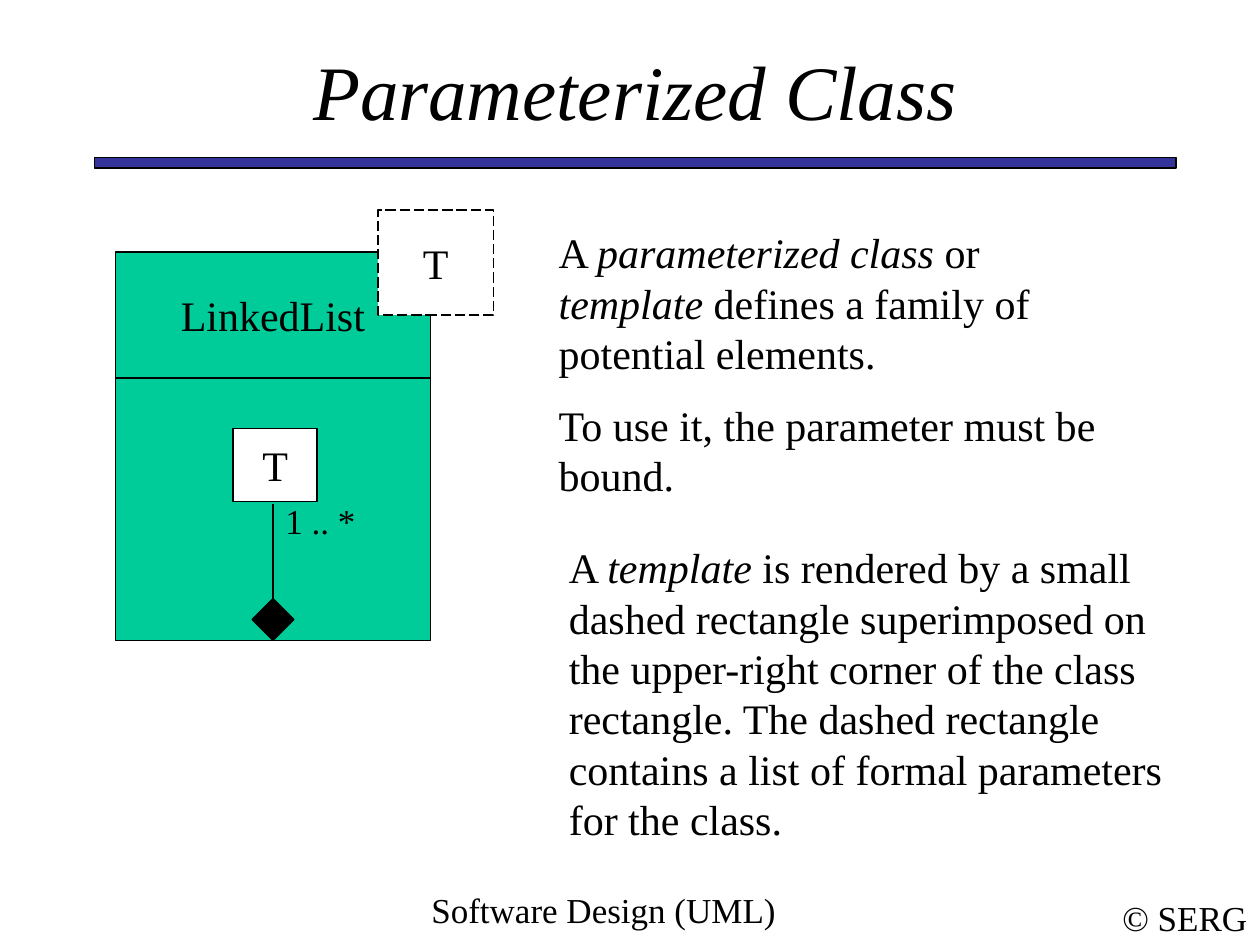
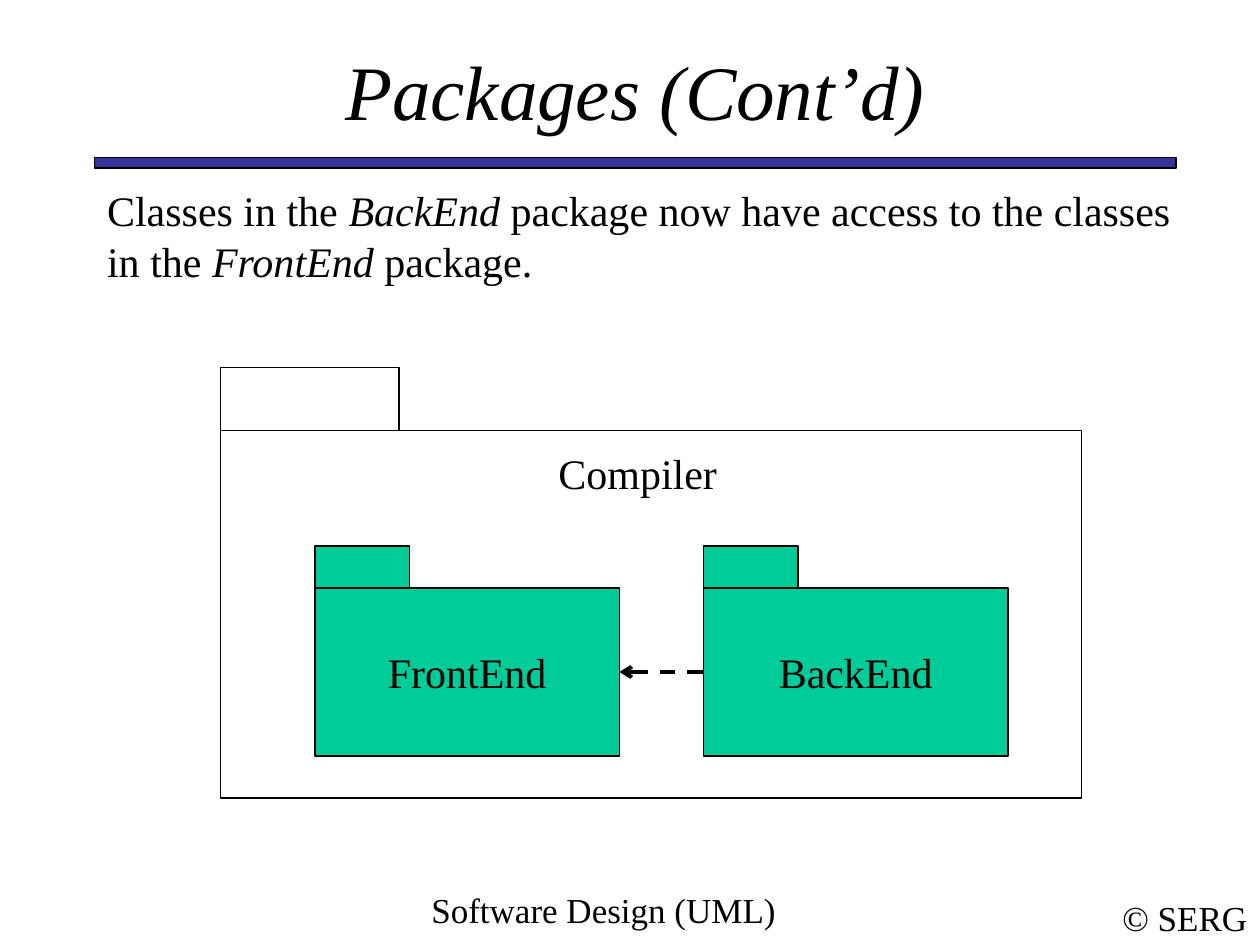
"""Build two UML lecture slides on a grid of twelfths of an inch."""
from lxml.etree import SubElement
from pptx import Presentation
from pptx.dml.color import RGBColor
from pptx.enum.dml import MSO_LINE
from pptx.enum.shapes import MSO_CONNECTOR, MSO_SHAPE
from pptx.enum.text import MSO_ANCHOR, MSO_AUTO_SIZE, PP_ALIGN
from pptx.oxml.ns import qn
from pptx.util import Inches, Pt

BLACK = RGBColor(0x00, 0x00, 0x00)
WHITE = RGBColor(0xFF, 0xFF, 0xFF)
GREEN = RGBColor(0x00, 0xCC, 0x99)
NAVY = RGBColor(0x33, 0x33, 0x99)

FONT = "Times New Roman"
TITLE_SIZE, BODY_SIZE, SMALL_SIZE = 44, 24, 20
UNITS_PER_INCH = 12
THIN = 0.75

TITLE_BOX = (9, 5, 103, 7)
BAND_BOX = (9, 15, 103, 1)
FOOTER = ("Software Design (UML)", (31, 84, 53, 6))
COPYRIGHT = ("© SERG", (105.7, 84.8, 14.3, 5.2))

TEMPLATE_SLIDE = {
    "title": "Parameterized Class",
    "body": [
        "A _parameterized class_ or _template_ defines a family of potential elements.",
        "To use it, the parameter must be bound.",
    ],
    "body_box": (52, 21, 56, 27.6),
    "explanation": "A _template _is rendered by a small dashed rectangle superimposed "
                   "on the upper-right corner of the class rectangle. The dashed "
                   "rectangle contains a list of formal parameters for the class.",
    "explanation_box": (53, 51, 59, 30),
}
PACKAGE_SLIDE = {
    "title": "Packages (Cont’d)",
    "body": [
        "Classes in the _BackEnd_ package now have access to the classes "
        "in the _FrontEnd_ package.",
    ],
    "body_box": (9, 17, 106, 10.8),
}
CLASS_BOXES = [
    ("LinkedList", (11, 24, 30, 12), GREEN, None),
    ("T", (36, 20, 11, 10), WHITE, MSO_LINE.LONG_DASH),
    ("", (11, 36, 30, 25), GREEN, None),
    ("T", (22.2, 40.8, 8, 7), WHITE, None),
]
DIAMOND_BOX = (24, 57, 4, 4)
MULTIPLICITY = ("1 .. *", (26, 47, 11, 5))

COMPILER = ("Compiler", (52, 42, 25, 6))
COMPILER_PACKAGE = ("", (21, 41, 82, 35), (17, 6), None)
INNER_PACKAGES = [
    (name, (left, 56, 29, 16), (9, 4), GREEN)
    for name, left in (("FrontEnd", 30), ("BackEnd", 67))
]


def units(*values):
    """Turn grid units into lengths."""
    return [Inches(value / UNITS_PER_INCH) for value in values]


def set_attributes(target, values):
    """Set each named attribute of the target."""
    for name, value in values.items():
        setattr(target, name, value)


def write(shape, paragraphs, size=BODY_SIZE, align=PP_ALIGN.LEFT,
          anchor=MSO_ANCHOR.TOP, wrap=True, italic=False):
    """Fill a shape with paragraphs in which underscores enclose italics."""
    frame = shape.text_frame
    set_attributes(frame, {"auto_size": MSO_AUTO_SIZE.NONE, "word_wrap": wrap,
                           "vertical_anchor": anchor})
    for index, text in enumerate(paragraphs):
        paragraph = frame.paragraphs[0] if index == 0 else frame.add_paragraph()
        set_attributes(paragraph, {"alignment": align,
                                   "space_before": Pt(size / 2 if index else 0)})
        for part, content in enumerate(text.split("_")):
            if content:
                run = paragraph.add_run()
                run.text = content
                set_attributes(run.font, {"name": FONT, "size": Pt(size),
                                          "italic": italic or part % 2 == 1})
                run.font.color.rgb = BLACK


def place(shape, box):
    """Move a placeholder onto the grid."""
    set_attributes(shape, dict(zip(("left", "top", "width", "height"), units(*box))))


def add_label(shapes, text, box, **style):
    """Add a text box."""
    write(shapes.add_textbox(*units(*box)), [text], **style)


def add_box(shapes, text, box, fill, dash=None, kind=MSO_SHAPE.RECTANGLE):
    """Add an outlined shape with a centred name."""
    shape = shapes.add_shape(kind, *units(*box))
    shape.shadow.inherit = False
    if fill is None:
        shape.fill.background()
    else:
        shape.fill.solid()
        shape.fill.fore_color.rgb = fill
    shape.line.color.rgb = BLACK
    set_attributes(shape.line, {"width": Pt(THIN), "dash_style": dash})
    if text:
        write(shape, [text], align=PP_ALIGN.CENTER, anchor=MSO_ANCHOR.MIDDLE, wrap=False)


def add_line(shapes, start, end, width, dash=None, arrow=False):
    """Add a straight connector, with an optional open arrow at its start."""
    line = shapes.add_connector(MSO_CONNECTOR.STRAIGHT, *units(*start, *end))
    line.line.color.rgb = BLACK
    set_attributes(line.line, {"width": Pt(width), "dash_style": dash})
    properties = line.element.spPr
    if arrow:
        SubElement(properties.find(qn("a:ln")), qn("a:headEnd"), type="arrow")
    SubElement(properties, qn("a:effectLst"))


def add_package(shapes, name, box, tab, fill):
    """Add a package: a body with a tab on its upper-left corner."""
    left, top = box[:2]
    group = shapes.add_group_shape()
    add_box(group.shapes, name, box, fill)
    add_box(group.shapes, "", (left, top - tab[1], *tab), fill)


def add_slide(presentation, content):
    """Add a slide with title, band, footers and unbulleted body text."""
    slide = presentation.slides.add_slide(presentation.slide_layouts[1])
    title, body = slide.placeholders
    place(title, TITLE_BOX)
    write(title, [content["title"]], size=TITLE_SIZE, align=PP_ALIGN.CENTER,
          anchor=MSO_ANCHOR.MIDDLE, italic=True)
    place(body, content["body_box"])
    write(body, content["body"])
    for paragraph in body.text_frame.paragraphs:
        properties = paragraph._p.get_or_add_pPr()
        properties.set("marL", "0")
        properties.set("indent", "0")
        SubElement(properties, qn("a:buNone"))
    add_box(slide.shapes, "", BAND_BOX, NAVY)
    add_label(slide.shapes, *FOOTER, size=SMALL_SIZE, align=PP_ALIGN.CENTER)
    add_label(slide.shapes, *COPYRIGHT, size=SMALL_SIZE, align=PP_ALIGN.CENTER,
              anchor=MSO_ANCHOR.MIDDLE, wrap=False)
    return slide.shapes


def add_template_slide(presentation):
    """Add the slide on parameterized classes."""
    shapes = add_slide(presentation, TEMPLATE_SLIDE)
    for text, box, fill, dash in (CLASS_BOXES[0], *CLASS_BOXES[2:], CLASS_BOXES[1]):
        add_box(shapes, text, box, fill, dash)
    left, top, width, _ = DIAMOND_BOX
    center = left + width / 2
    add_line(shapes, (center, top), (center, 48), 1.5)
    add_box(shapes, "", DIAMOND_BOX, BLACK, kind=MSO_SHAPE.DIAMOND)
    add_label(shapes, *MULTIPLICITY, size=SMALL_SIZE)
    add_label(shapes, TEMPLATE_SLIDE["explanation"], TEMPLATE_SLIDE["explanation_box"])


def add_package_slide(presentation):
    """Add the slide on nested packages."""
    shapes = add_slide(presentation, PACKAGE_SLIDE)
    for package in (COMPILER_PACKAGE, *INNER_PACKAGES):
        add_package(shapes, *package)
    add_label(shapes, *COMPILER)
    (_, front, _, _), (_, back, _, _) = INNER_PACKAGES
    middle = front[1] + front[3] / 2
    add_line(shapes, (front[0] + front[2], middle), (back[0], middle), 2.25,
             MSO_LINE.DASH, arrow=True)


def main():
    """Build and save the presentation."""
    presentation = Presentation()
    set_attributes(presentation, {"slide_width": Inches(10), "slide_height": Inches(7.5)})
    add_template_slide(presentation)
    add_package_slide(presentation)
    presentation.save("out.pptx")


if __name__ == "__main__":
    main()
